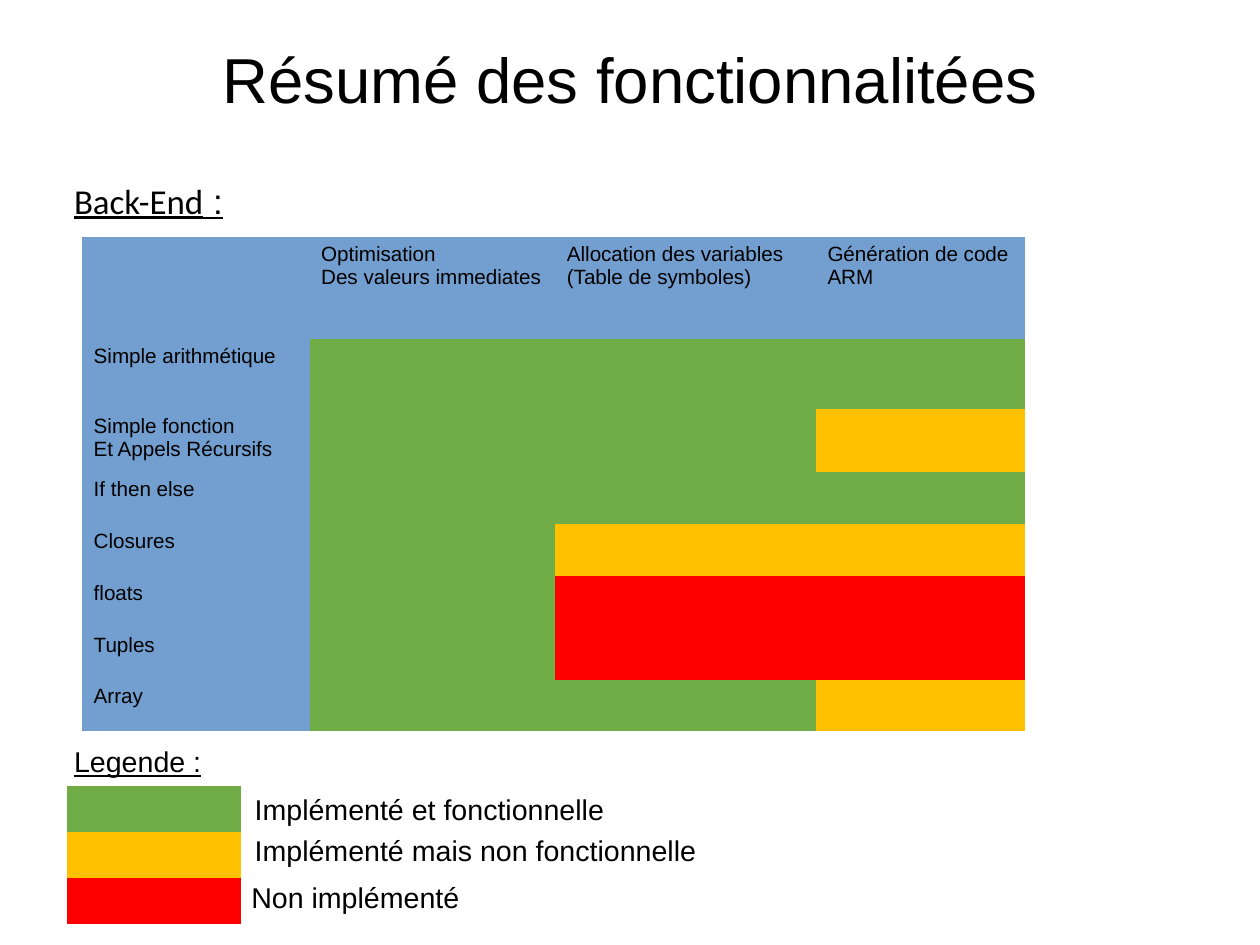
from dataclasses import dataclass

from pptx import Presentation
from pptx.dml.color import RGBColor
from pptx.enum.text import MSO_ANCHOR, PP_ALIGN
from pptx.util import Inches, Pt

TOP = MSO_ANCHOR.TOP
LEFT, CENTER = PP_ALIGN.LEFT, PP_ALIGN.CENTER
PLAIN_TABLE = "{2D5ABB26-0587-4C30-8999-92F81FD0307C}"
CM_PER_INCH = 2.54


@dataclass(frozen=True)
class Theme:
    ink: str = "000000"
    header: str = "729FCF"
    done: str = "70AD47"
    partial: str = "FFC000"
    missing: str = "FF0000"
    font: str = "Arial"
    heading_font: str = "Calibri"
    title: int = 40
    heading: int = 22
    body: int = 18
    cell: int = 13


THEME = Theme()
STATUS = {"D": THEME.done, "P": THEME.partial, "M": THEME.missing}

HEADERS = [
    [],
    ["Optimisation", "Des valeurs immediates"],
    ["Allocation des variables (Table de symboles)"],
    ["Génération de code ARM"],
]
FEATURES = [
    (["Simple arithmétique"], "DDD"),
    (["Simple fonction", "Et Appels Récursifs"], "DDP"),
    (["If then else"], "DDD"),
    (["Closures"], "DPP"),
    (["floats"], "DMM"),
    (["Tuples"], "DMM"),
    (["Array"], "DDP"),
]
COL_WIDTHS = [1.99, 2.15, 2.28, 1.83]
TALL_ROWS = [0.9, 0.61, 0.55]
LEGEND = [
    ("D", "Implémenté et fonctionnelle", 2.13, 6.88, 3.46),
    ("P", "Implémenté mais non fonctionnelle", 2.13, 7.24, 4.17),
    ("M", "Non implémenté", 2.1, 7.65, 4.65),
]


def add_run(p, text, size, font=THEME.font, underline=False):
    r = p.add_run()
    r.text = text
    r.font.size = Pt(size)
    r.font.name = font
    r.font.underline = underline
    r.font.color.rgb = RGBColor.from_string(THEME.ink)


def add_text(slide, box, runs, size, align=LEFT, underline=False):
    sp = slide.shapes.add_textbox(*map(Inches, box))
    tf = sp.text_frame
    tf.word_wrap = True
    tf.vertical_anchor = TOP
    p = tf.paragraphs[0]
    p.alignment = align
    for text, font in runs:
        add_run(p, text, size, font, underline)
    return tf


def add_title(slide, box):
    tf = add_text(slide, box, [("Résumé des fonctionnalitées", THEME.font)],
                  THEME.title, CENTER)
    tf.margin_left = tf.margin_right = tf.margin_bottom = 0
    tf.margin_top = Inches(0.02)


def add_plain_table(slide, left, top, widths, heights):
    frame = slide.shapes.add_table(
        len(heights), len(widths), Inches(left), Inches(top),
        Inches(sum(widths)), Inches(sum(heights)))
    table = frame.table
    table.first_row = False
    table.horz_banding = False
    table._tbl.tblPr.find("{*}tableStyleId").text = PLAIN_TABLE
    for col, width in zip(table.columns, widths):
        col.width = Inches(width)
    for row, height in zip(table.rows, heights):
        row.height = Inches(height)
    return table


def fill_cell(cell, color, lines=()):
    cell.fill.solid()
    cell.fill.fore_color.rgb = RGBColor.from_string(color)
    if not lines:
        cell.margin_top = cell.margin_bottom = 0
    tf = cell.text_frame
    for i, line in enumerate(lines):
        p = tf.add_paragraph() if i else tf.paragraphs[0]
        add_run(p, line, THEME.cell)


def add_feature_table(slide, left, top, height):
    short_count = len(FEATURES) + 1 - len(TALL_ROWS)
    short_row = (height - sum(TALL_ROWS)) / short_count
    heights = TALL_ROWS + [short_row] * short_count
    table = add_plain_table(slide, left, top, COL_WIDTHS, heights)
    for c, lines in enumerate(HEADERS):
        fill_cell(table.cell(0, c), THEME.header, lines)
    for r, (lines, states) in enumerate(FEATURES, 1):
        fill_cell(table.cell(r, 0), THEME.header, lines)
        for c, state in enumerate(states, 1):
            fill_cell(table.cell(r, c), STATUS[state])
    table.cell(1, 1).merge(table.cell(len(FEATURES), 1))


def add_legend(slide, left, top):
    table = add_plain_table(slide, left, top, [1.52], [0.4] * len(LEGEND))
    for i, (state, label, x, y, width) in enumerate(LEGEND):
        fill_cell(table.cell(i, 0), STATUS[state])
        add_text(slide, (x, y, width, 0.38), [(label, THEME.font)], THEME.body)


def main():
    prs = Presentation()
    prs.slide_width = Inches(28 / CM_PER_INCH)
    prs.slide_height = Inches(21 / CM_PER_INCH)
    prs.element.find("{*}sldSz").attrib.pop("type", None)
    slide = prs.slides.add_slide(prs.slide_layouts[6])
    add_title(slide, (0.55, 0.33, 9.92, 1.38))
    add_text(slide, (0.55, 1.52, 1.53, 0.48),
             [("Back-End", THEME.heading_font), (" :", THEME.font)],
             THEME.heading, underline=True)
    add_feature_table(slide, 0.72, 2.07, 4.33)
    add_text(slide, (0.55, 6.46, 2.13, 0.38),
             [("Legende :", THEME.font)], THEME.body, underline=True)
    add_legend(slide, 0.59, 6.88)
    prs.save("out.pptx")


if __name__ == "__main__":
    main()
